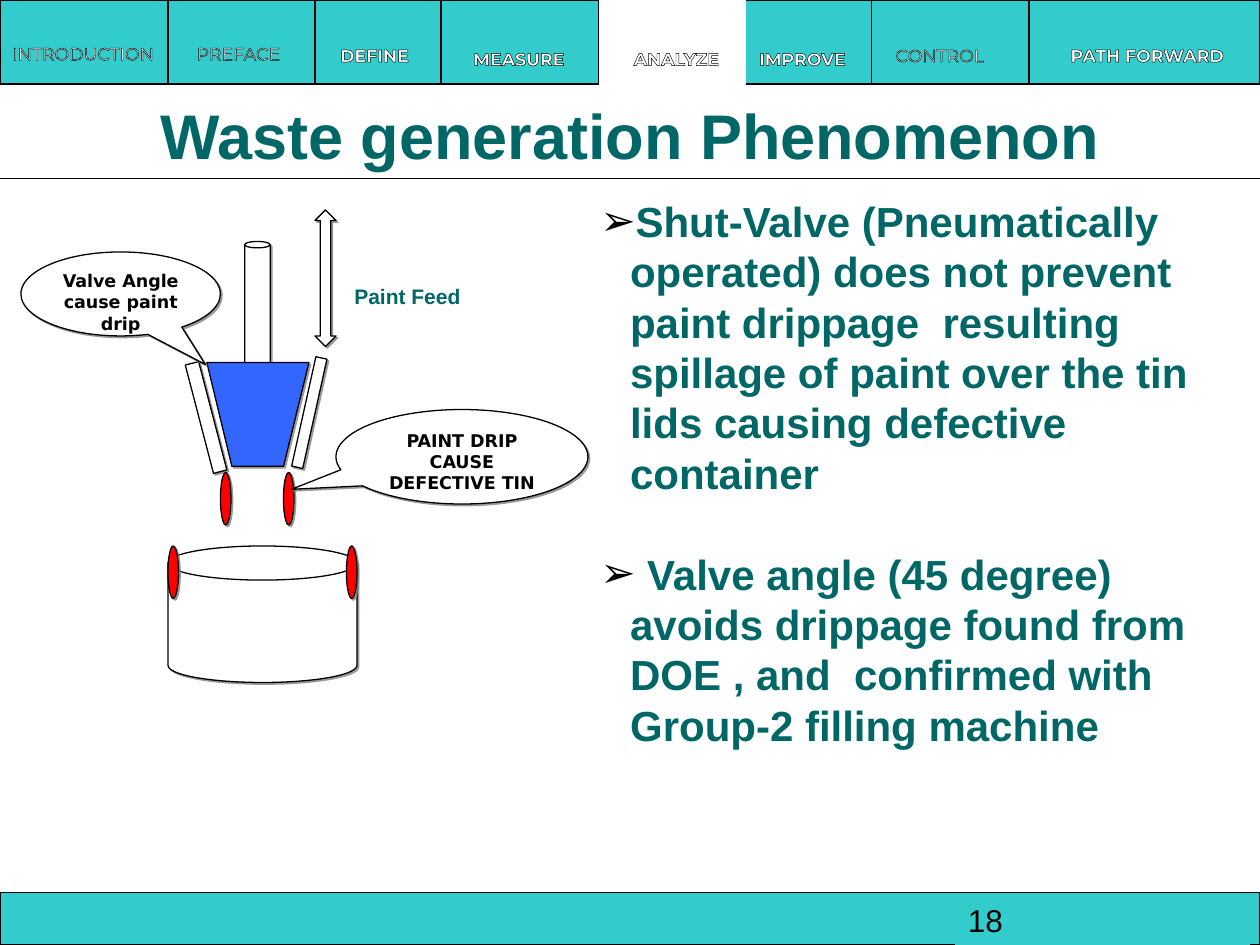
from lxml import etree
from pptx import Presentation
from pptx.dml.color import RGBColor
from pptx.enum import shapes as kinds, text as txt
from pptx.oxml import parse_xml
from pptx.oxml.ns import nsdecls, qn
from pptx.util import Pt

TURQUOISE = RGBColor(0x33, 0xCC, 0xCC)
TEAL = RGBColor(0x00, 0x66, 0x66)
BLUE = RGBColor(0x33, 0x66, 0xFF)
RED = RGBColor(0xFF, 0x00, 0x00)
WHITE = RGBColor(0xFF, 0xFF, 0xFF)
BLACK = RGBColor(0x00, 0x00, 0x00)

KIND = kinds.MSO_SHAPE
ALIGN = txt.PP_ALIGN
ANCHOR = txt.MSO_ANCHOR

SHADOW = (f'<a:effectLst {nsdecls("a")}><a:outerShdw dist="17961" dir="2700000">'
          '<a:srgbClr val="808080"><a:alpha val="80000"/></a:srgbClr>'
          '</a:outerShdw></a:effectLst>')
OUTLINE = (f'<a:ln {nsdecls("a")} w="9525"><a:solidFill>'
           '<a:srgbClr val="000000"/></a:solidFill></a:ln>')


def paint(shape, fill, line=BLACK, shadow=False):
    shape.fill.solid()
    shape.fill.fore_color.rgb = fill
    shape.line.color.rgb = line
    shape.line.width = Pt(0.75)
    shape.shadow.inherit = False
    if shadow:
        properties = shape._element.spPr
        properties.replace(properties.find(qn("a:effectLst")), parse_xml(SHADOW))
    return shape


def write(shape, lines, size, color, bold=True, font="Arial",
          align=ALIGN.LEFT, anchor=ANCHOR.BOTTOM, bullet=None):
    frame = shape.text_frame
    frame.word_wrap = True
    frame.vertical_anchor = anchor
    frame.text = lines
    for paragraph in frame.paragraphs:
        paragraph.alignment = align
        if bullet:
            paragraph.line_spacing = Pt(28.8)
            properties = paragraph._p.get_or_add_pPr()
            properties.set("marL", str(Pt(17)))
            properties.set("indent", str(-Pt(17)))
            bullet_color = etree.SubElement(properties, qn("a:buClr"))
            etree.SubElement(bullet_color, qn("a:srgbClr"), val=str(BLACK))
            etree.SubElement(properties, qn("a:buFont"), typeface=font)
            etree.SubElement(properties, qn("a:buChar"), char=bullet)
        paragraph.font.size = Pt(size)
        paragraph.font.name = font
        paragraph.font.bold = bold
        paragraph.font.color.rgb = color
    return frame


deck = Presentation()
deck.slide_width, deck.slide_height = Pt(720), Pt(540)
slide = deck.slides.add_slide(deck.slide_layouts[6])
shapes = slide.shapes

# Bars, title rule and phase tabs
for top, height in [(0, 48), (510, 30)]:
    paint(shapes.add_shape(KIND.RECTANGLE, 0, Pt(top), Pt(720), Pt(height)), TURQUOISE)

rule = shapes.add_connector(kinds.MSO_CONNECTOR.STRAIGHT, 0, Pt(102), Pt(720), Pt(102))
rule.line.color.rgb = BLACK
rule.line.width = Pt(0.75)
etree.SubElement(rule._element.spPr, qn("a:effectLst"))

for left, right, fill, line in [
    (342, 426, WHITE, WHITE),
    (96, 180, TURQUOISE, BLACK),
    (252, 342, TURQUOISE, BLACK),
    (498, 588, TURQUOISE, BLACK),
]:
    paint(shapes.add_shape(KIND.RECTANGLE, Pt(left), 0, Pt(right - left), Pt(48)), fill, line)

for phase, left, top, width, bold in [
    ("INTRODUCTION", 5, 21, 85, False),
    ("PREFACE", 102, 21, 68.4, False),
    ("DEFINE", 192, 22, 44, True),
    ("MEASURE", 269, 24, 55, True),
    ("ANALYZE", 359, 24, 55, True),
    ("IMPROVE", 431, 24, 55, True),
    ("CONTROL", 509, 22, 56, False),
    ("PATH FORWARD", 594, 22, 123, True),
]:
    label = shapes.add_textbox(Pt(left), Pt(top), Pt(width), Pt(14))
    frame = write(label, phase, 10, WHITE, bold, "Montserrat", ALIGN.CENTER, ANCHOR.TOP)
    frame.word_wrap = False
    frame.margin_left = frame.margin_right = 0
    frame.paragraphs[0].runs[0]._r.get_or_add_rPr().insert(0, parse_xml(OUTLINE))

title = shapes.add_textbox(0, Pt(60), Pt(720), Pt(42))
write(title, "Waste generation Phenomenon", 36, TEAL, align=ALIGN.CENTER)

# Findings
for finding, top, width, height in [
    ("Shut-Valve (Pneumatically operated) does not prevent paint drippage  resulting "
     "spillage of paint over the tin lids causing defective container", 114, 360, 174),
    (" Valve angle (45 degree) avoids drippage found from DOE , and  confirmed with "
     "Group-2 filling machine", 330, 372, 102),
]:
    body = shapes.add_textbox(Pt(336), Pt(top), Pt(width), Pt(height))
    write(body, finding, 24, TEAL, bullet="➢")

# Filling machine: rod, valve, seats, drips and tin
machine = shapes.add_group_shape().shapes
paint(machine.add_shape(KIND.CAN, Pt(139.8), Pt(138), Pt(14.6), Pt(79)), WHITE, shadow=True)

valve = machine.build_freeform(Pt(118.2), Pt(207.2))
valve.add_line_segments([(Pt(x), Pt(y)) for x, y in
                         [(176.5, 207.2), (162, 266.5), (132.5, 266.5)]])
paint(valve.convert_to_shape(), BLUE, shadow=True)

for left, top, width, angle in [(113.8, 206.6, 7.9, 345.4), (173.5, 203.8, 6.5, 12.5)]:
    seat = machine.add_shape(KIND.RECTANGLE, Pt(left), Pt(top), Pt(width), Pt(64))
    seat.rotation = angle
    paint(seat, WHITE, shadow=True)

paint(machine.add_shape(KIND.CAN, Pt(96), Pt(312), Pt(108), Pt(78)), WHITE, shadow=True)
for left, top in [(126, 270), (162, 270), (96, 312), (198, 312)]:
    paint(machine.add_shape(KIND.OVAL, Pt(left), Pt(top), Pt(6), Pt(30)), RED, shadow=True)

# Callouts and paint feed
for remark, left, top, width, height, tip_x, tip_y in [
    ("PAINT DRIP\nCAUSE DEFECTIVE TIN", 192, 234, 144, 54, -0.677, 0.345),
    ("Valve Angle cause paint drip", 12, 144, 114, 48, 0.424, 0.839),
]:
    callout = shapes.add_shape(KIND.OVAL_CALLOUT, Pt(left), Pt(top), Pt(width), Pt(height))
    callout.adjustments[0], callout.adjustments[1] = tip_x, tip_y
    paint(callout, WHITE, shadow=True)
    write(callout, remark, 10, BLACK, font="DejaVu Sans", align=ALIGN.CENTER, anchor=ANCHOR.TOP)

stroke = shapes.add_shape(KIND.UP_DOWN_ARROW, Pt(180), Pt(120), Pt(12), Pt(78))
head_length, shaft_width = 1.289, 0.5
stroke.adjustments[0], stroke.adjustments[1] = head_length, shaft_width
paint(stroke, WHITE, shadow=True)

feed = shapes.add_textbox(Pt(192), Pt(156), Pt(84), Pt(24))
write(feed, "Paint Feed", 12, TEAL).margin_left = Pt(10.5)

page = shapes.add_shape(KIND.RECTANGLE, Pt(546), Pt(516), Pt(168), Pt(24))
write(paint(page, TURQUOISE, TURQUOISE), "18", 18, BLACK, bold=False)

deck.save("out.pptx")
